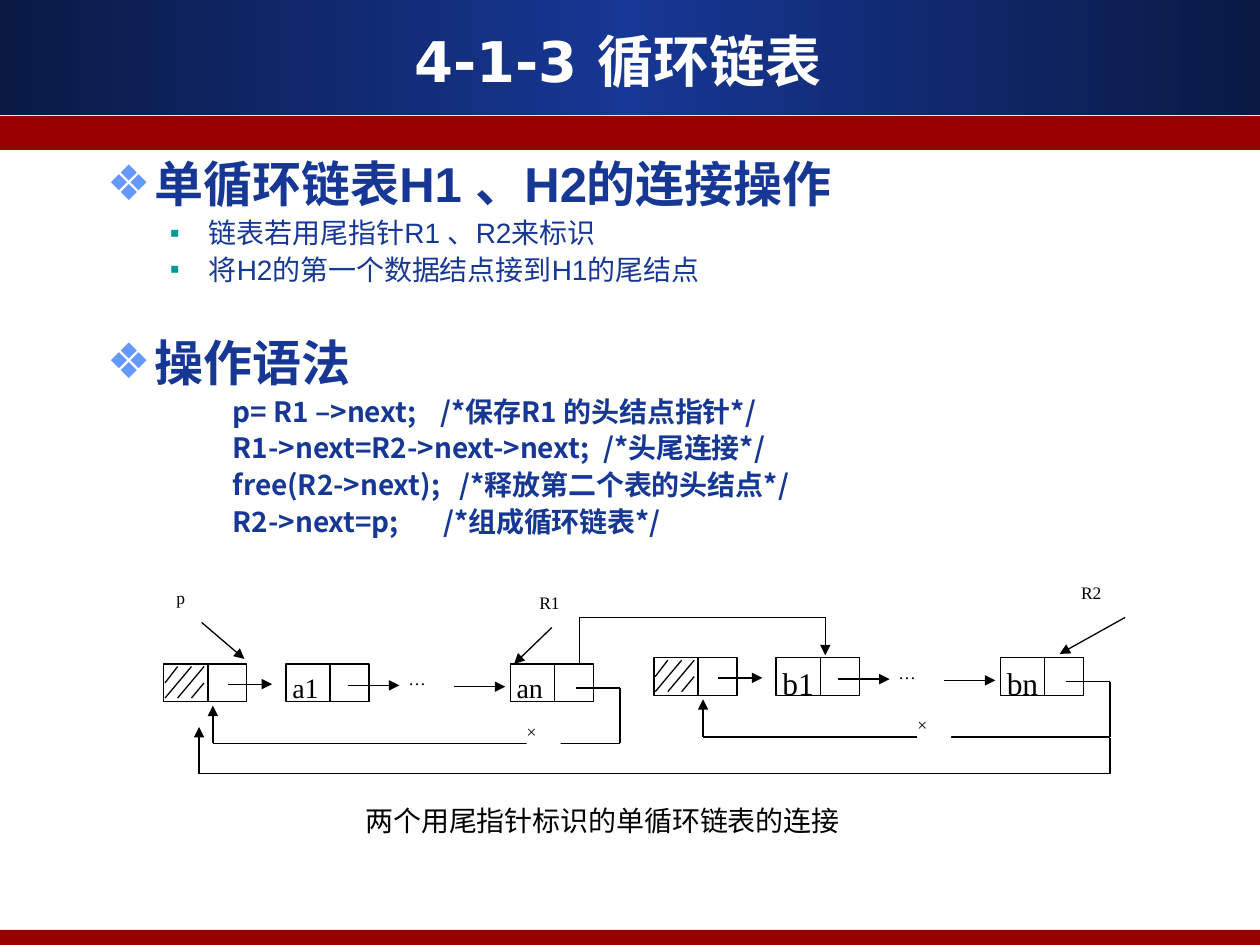
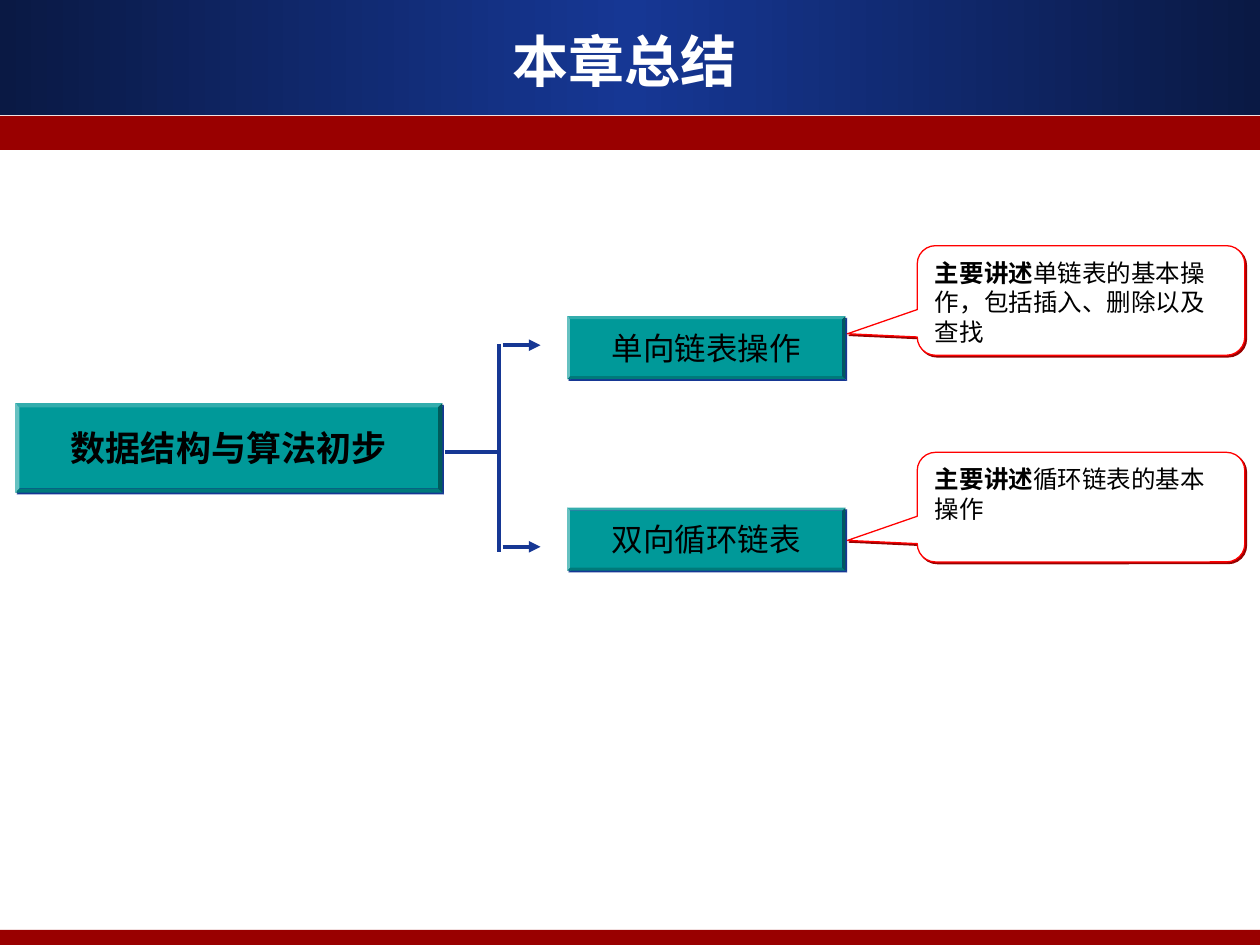
from copy import deepcopy
from itertools import pairwise

from lxml import etree
from pptx import Presentation
from pptx.dml.color import RGBColor
from pptx.enum import shapes as kinds, text as styles
from pptx.oxml import ns
from pptx.util import Inches, Pt

NAVY, BLUE, RED = "0A1944", "163794", "990000"
TEAL, SKY, WHITE, BLACK = "009999", "6699FF", "FFFFFF", "000000"
CJK, SERIF, SANS, DISPLAY = "Noto Sans CJK SC", "Times New Roman", "Arial", "DejaVu Sans"
TITLE_ONLY = 5
NODE_W, NODE_H, LINK_X = 0.66, 0.30, 0.35
HATCHES = [((0.01, 0.15), (0.11, 0.02)), ((0.01, 0.27), (0.22, 0.02)),
           ((0.11, 0.27), (0.32, 0.02)), ((0.22, 0.27), (0.32, 0.15))]


def rgb(color):
    return RGBColor.from_string(color)


def add_xml(parent, tag, **attributes):
    return etree.SubElement(parent, ns.qn(tag), attributes)


def add_text(paragraph, content, size=10, font=SERIF, color=BLACK, bold=False):
    run = paragraph.add_run()
    run.text = content
    run.font.size, run.font.name, run.font.bold = Pt(size), font, bold
    run.font.color.rgb = rgb(color)
    add_xml(run.font._element, "a:ea", typeface=CJK)


def add_box(slide, kind, box, fill, line=None):
    shape = slide.shapes.add_shape(kind, *map(Inches, box))
    shape.shadow.inherit = False
    shape.fill.solid()
    shape.fill.fore_color.rgb = rgb(fill)
    if line:
        shape.line.color.rgb = rgb(line)
        shape.line.width = Pt(0.75)
    else:
        shape.line.fill.background()
    return shape


def add_hard_shadow(shape, color):
    effects = shape.element.spPr.find(ns.qn("a:effectLst"))
    shadow = add_xml(effects, "a:outerShdw", blurRad="0",
                     dist=str(Pt(1.4)), dir=str(45 * 60000))
    add_xml(shadow, "a:srgbClr", val=color)


def add_route(slide, *points, arrow=True, color=BLACK, width=0.75):
    """Draw straight lines through the points, with an arrowhead at the last."""
    for start, end in pairwise(points):
        line = slide.shapes.add_connector(kinds.MSO_CONNECTOR.STRAIGHT,
                                          *map(Inches, (*start, *end)))
        line.line.color.rgb = rgb(color)
        line.line.width = Pt(width)
        add_xml(line.element.spPr, "a:effectLst")
    if arrow:
        add_xml(line.line._get_or_add_ln(), "a:tailEnd", type="triangle")


def add_text_box(slide, box, inset=True):
    frame = slide.shapes.add_textbox(*map(Inches, box)).text_frame
    frame.word_wrap = True
    if not inset:
        frame.margin_left = frame.margin_right = 0
        frame.margin_top = frame.margin_bottom = 0
    return frame


def add_label(slide, content, x, y, width=0.35, **text_format):
    frame = add_text_box(slide, (x, y, width, 0.29), inset=False)
    add_text(frame.paragraphs[0], content, **text_format)


def move_bands_to_layout(slide):
    """Build the coloured bands and hand them to the layout all slides share."""
    rectangle = kinds.MSO_SHAPE.RECTANGLE
    header = add_box(slide, rectangle, (0, 0, 10, 0.91), NAVY)
    header.fill.gradient()
    header.fill.gradient_angle = 0
    stops = header.element.spPr.find(".//" + ns.qn("a:gsLst"))
    stops.append(deepcopy(stops[0]))
    for stop, color, position in zip(header.fill.gradient_stops,
                                     (NAVY, BLUE, NAVY), (0, 0.5, 1)):
        stop.color.rgb, stop.position = rgb(color), position
    stripe = add_box(slide, rectangle, (0, 0.92, 10, 0.27), RED)
    footer = add_box(slide, rectangle, (0, 7.38, 10, 0.12), RED)
    for band in (header, stripe, footer):
        slide.slide_layout.shapes.element.insert(2, band.element)


def set_title(slide, content, left, width):
    title = slide.shapes.title
    title.left, title.top = Inches(left), Inches(0.17)
    title.width, title.height = Inches(width), Inches(0.62)
    frame = title.text_frame
    frame.vertical_anchor = styles.MSO_ANCHOR.MIDDLE
    paragraph = frame.paragraphs[0]
    paragraph.alignment = styles.PP_ALIGN.CENTER
    add_text(paragraph, content, 32, DISPLAY, WHITE, True)


def next_paragraph(frame, line_height, before):
    first = frame.paragraphs[0]
    paragraph = frame.add_paragraph() if first.runs else first
    paragraph.line_spacing, paragraph.space_before = Pt(line_height), Pt(before)
    return paragraph


def add_bullet(paragraph, char, font, color, margin, hanging):
    props = paragraph._p.get_or_add_pPr()
    props.set("marL", str(Inches(margin)))
    props.set("indent", str(-Inches(hanging)))
    add_xml(add_xml(props, "a:buClr"), "a:srgbClr", val=color)
    add_xml(props, "a:buFont", typeface=font)
    add_xml(props, "a:buChar", char=char)


def add_outline(slide, box):
    frame = add_text_box(slide, box)
    sections = [
        ("单循环链表H1 、H2的连接操作", 0,
         ["链表若用尾指针R1 、R2来标识", "将H2的第一个数据结点接到H1的尾结点"]),
        ("操作语法", 27, []),
    ]
    for heading, before, points in sections:
        paragraph = next_paragraph(frame, 33, before)
        add_bullet(paragraph, "❖", DISPLAY, SKY, 0.38, 0.38)
        add_text(paragraph, heading, 28, SANS, BLUE, True)
        for point in points:
            paragraph = next_paragraph(frame, 17, 4)
            add_bullet(paragraph, "▪", SANS, TEAL, 0.81, 0.31)
            add_text(paragraph, point, 16, SANS, BLUE)


def add_code(slide, box):
    """Write each statement with its comment at a tab stop."""
    frame = add_text_box(slide, box)
    statements = [
        ("p= R1 –>next;", "/*保存R1 的头结点指针*/", 1.65),
        ("R1->next=R2->next->next;", "/*头尾连接*/", 2.94),
        ("free(R2->next);", "/*释放第二个表的头结点*/", 1.80),
        ("R2->next=p;", "/*组成循环链表*/", 1.67),
    ]
    for statement, comment, comment_x in statements:
        paragraph = next_paragraph(frame, 17, 4)
        tabs = add_xml(paragraph._p.get_or_add_pPr(), "a:tabLst")
        add_xml(tabs, "a:tab", pos=str(Inches(comment_x)), algn="l")
        add_text(paragraph, f"{statement}\t{comment}", 16, CJK, BLUE, True)


def add_node(slide, x, y):
    add_box(slide, kinds.MSO_SHAPE.RECTANGLE, (x, y, NODE_W, NODE_H), WHITE, BLACK)
    add_route(slide, (x + LINK_X, y), (x + LINK_X, y + NODE_H), arrow=False)


def add_chain(slide, x, y, first, last, size, cut_x):
    """Draw a circular list whose closing link is cut at cut_x."""
    def route(*points, **line_format):
        add_route(slide, *((x + dx, y + dy) for dx, dy in points), **line_format)

    for node_x, name in ((0, None), (0.97, first), (2.75, last)):
        add_node(slide, x + node_x, y)
        if name:
            add_label(slide, name, x + node_x + 0.05, y + 0.05, size=size)
    for hatch in HATCHES:
        route(*hatch, arrow=False)
    route((0.51, 0.16), (0.86, 0.16))
    route((1.46, 0.17), (1.87, 0.17))
    add_label(slide, "…", x + 1.94, y + 0.03)
    route((2.30, 0.18), (2.71, 0.18))
    route((3.27, 0.19), (3.62, 0.19), (3.62, 0.63), (0.39, 0.63), (0.39, 0.33))
    add_box(slide, kinds.MSO_SHAPE.RECTANGLE,
            (x + cut_x, y + 0.44, 0.27, 0.25), WHITE)
    add_label(slide, "×", x + cut_x, y + 0.45)


def add_join_diagram(slide, x, y):
    """Draw both lists, the links that join them, and the pointers."""
    def route(*points):
        add_route(slide, *((x + dx, y + dy) for dx, dy in points))

    add_chain(slide, x, y + 0.61, "a1", "an", 16, 2.88)
    add_chain(slide, x + 3.89, y + 0.56, "b1", "bn", 18, 2.09)
    route((3.30, 0.62), (3.30, 0.24), (5.25, 0.24), (5.25, 0.54))
    route((7.51, 1.20), (7.51, 1.48), (0.28, 1.48), (0.28, 1.11))
    pointers = [
        ("p", (0.10, 0.00), (0.30, 0.28), (0.64, 0.57)),
        ("R1", (2.98, 0.04), (3.08, 0.32), (2.78, 0.61)),
        ("R2", (7.28, -0.04), (7.63, 0.24), (7.11, 0.53)),
    ]
    for name, (label_x, label_y), start, end in pointers:
        add_label(slide, name, x + label_x, y + label_y)
        route(start, end)
    add_label(slide, "两个用尾指针标识的单循环链表的连接",
              x + 1.60, y + 1.72, width=4, size=16)


def add_topic(slide, content, box, size=18, bold=False):
    bevel = add_box(slide, kinds.MSO_SHAPE.BEVEL, box, TEAL)
    bevel.adjustments[0] = 0.047
    add_hard_shadow(bevel, BLUE)
    frame = bevel.text_frame
    frame.word_wrap = False
    frame.vertical_anchor = styles.MSO_ANCHOR.MIDDLE
    paragraph = frame.paragraphs[0]
    paragraph.alignment = styles.PP_ALIGN.CENTER
    add_text(paragraph, content, size, CJK, bold=bold)


def add_remark(slide, content, box):
    callout = add_box(slide, kinds.MSO_SHAPE.ROUNDED_RECTANGULAR_CALLOUT,
                      box, WHITE, "FF0000")
    for index, value in enumerate((-0.713, 0.304, 0.167)):
        callout.adjustments[index] = value
    add_hard_shadow(callout, RED)
    frame = callout.text_frame
    frame.word_wrap = True
    frame.vertical_anchor = styles.MSO_ANCHOR.TOP
    paragraph = next_paragraph(frame, 17, 0)
    paragraph.alignment = styles.PP_ALIGN.LEFT
    add_text(paragraph, "主要讲述", 14, "Arial Narrow", bold=True)
    add_text(paragraph, content, 14, "Arial Narrow")


def add_summary_tree(slide, x, y):
    branch = {"color": BLUE, "width": 2.25}
    add_topic(slide, "数据结构与算法初步", (x, y + 1.25, 3.39, 0.71), 20, True)
    add_route(slide, (x + 3.41, y + 1.64), (x + 3.84, y + 1.64), arrow=False, **branch)
    add_route(slide, (x + 3.84, y + 0.78), (x + 3.84, y + 2.43), arrow=False, **branch)
    topics = [
        ("单向链表操作", "单链表的基本操作，包括插入、删除以及查找", 0, 0.79),
        ("双向循环链表", "循环链表的基本操作", 1.64, 2.39),
    ]
    for row, (topic, remark, remark_y, arrow_y) in enumerate(topics):
        add_route(slide, (x + 3.87, y + arrow_y), (x + 4.17, y + arrow_y), **branch)
        add_topic(slide, topic, (x + 4.38, y + 0.56 + row * 1.52, 2.21, 0.5))
        add_remark(slide, remark, (x + 7.16, y + remark_y, 2.6, 0.87))


def main():
    deck = Presentation()
    deck.slide_width, deck.slide_height = Inches(10), Inches(7.5)
    layout = deck.slide_layouts[TITLE_ONLY]

    circular = deck.slides.add_slide(layout)
    move_bands_to_layout(circular)
    set_title(circular, "4-1-3 循环链表 ", 0.33, 9.25)
    add_outline(circular, (0.75, 1.18, 8.9, 1.9))
    add_code(circular, (1.75, 3.11, 7.9, 1.3))
    add_join_diagram(circular, 1.30, 4.66)

    summary = deck.slides.add_slide(layout)
    set_title(summary, "本章总结", 0.77, 8.38)
    add_summary_tree(summary, 0.12, 1.95)
    deck.save("out.pptx")


if __name__ == "__main__":
    main()
